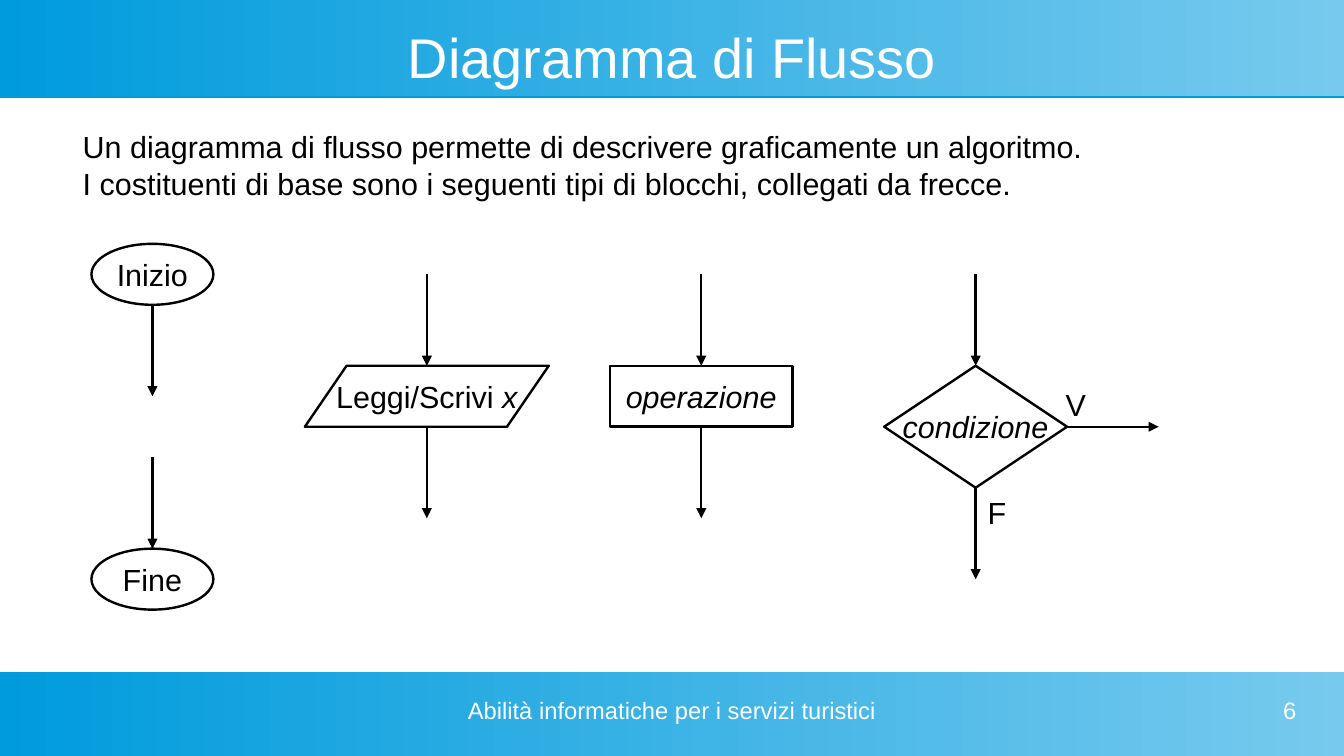
import pptx
import pptx.util
import pptx.dml.color
import pptx.enum.shapes
import pptx.enum.text
import pptx.oxml.ns
from lxml import etree

Inches = pptx.util.Inches
Pt = pptx.util.Pt
SHAPE = pptx.enum.shapes.MSO_SHAPE
ALIGN = pptx.enum.text.PP_ALIGN
ANCHOR = pptx.enum.text.MSO_ANCHOR
BLACK, WHITE, BLUE, PALE = "000000", "FFFFFF", "009BDD", "77CAEE"
WIDTH, HEIGHT = 11.02, 6.2
LINE_PT = 1.42


def rgb(value):
    """Return the colour of a hex string."""
    return pptx.dml.color.RGBColor.from_string(value)


def write(sp, *runs, size=18, color=BLACK, align=ALIGN.LEFT, anchor=ANCHOR.TOP,
          wrap=True, inset=(0.1, 0.05)):
    """Fill a shape with one paragraph of (text, italic) runs."""
    tf = sp.text_frame
    tf.word_wrap = wrap
    tf.vertical_anchor = anchor
    tf.margin_left = tf.margin_right = Inches(inset[0])
    tf.margin_top = tf.margin_bottom = Inches(inset[1])
    p = tf.paragraphs[0]
    p.alignment = align
    for text, italic in runs:
        r = p.add_run()
        r.text = text
        r.font.name = "Arial"
        r.font.size = Pt(size)
        r.font.italic = italic
        r.font.color.rgb = rgb(color)


def add_text(s, text, x, y, w, h, **fmt):
    """Add a text box holding plain text."""
    box = s.shapes.add_textbox(Inches(x), Inches(y), Inches(w), Inches(h))
    write(box, (text, False), **fmt)


def add_band(s, y, h):
    """Add a full-width band with a left-to-right gradient."""
    sp = s.shapes.add_shape(SHAPE.RECTANGLE, 0, Inches(y), Inches(WIDTH), Inches(h))
    sp.shadow.inherit = False
    sp.line.fill.background()
    sp.fill.gradient()
    sp.fill.gradient_angle = 0
    for stop, color in zip(sp.fill.gradient_stops, (BLUE, PALE)):
        stop.color.rgb = rgb(color)


def add_block(s, kind, cx, y, w, h, *runs):
    """Add an outlined flowchart block centred on cx."""
    sp = s.shapes.add_shape(kind, Inches(cx - w / 2), Inches(y), Inches(w), Inches(h))
    sp.shadow.inherit = False
    sp.fill.background()
    sp.line.color.rgb = rgb(BLACK)
    sp.line.width = Pt(LINE_PT)
    write(sp, *runs, align=ALIGN.CENTER, anchor=ANCHOR.MIDDLE, wrap=False)
    return sp


def add_line(s, x1, y1, x2, y2, color=BLACK, width=LINE_PT, arrow=False):
    """Add a straight line, with an arrowhead at its end if asked."""
    line = s.shapes.add_connector(pptx.enum.shapes.MSO_CONNECTOR.STRAIGHT,
                                  Inches(x1), Inches(y1), Inches(x2), Inches(y2))
    line.line.color.rgb = rgb(color)
    line.line.width = Pt(width)
    qn = pptx.oxml.ns.qn
    sp_pr = line._element.spPr
    if arrow:
        etree.SubElement(sp_pr.find(qn("a:ln")), qn("a:tailEnd"), type="triangle")
    etree.SubElement(sp_pr, qn("a:effectLst"))


def add_arrow_down(s, x, y):
    """Add a downward arrow of the common length."""
    add_line(s, x, y, x, y + 0.75, arrow=True)


def main():
    """Build the slide and save it."""
    prs = pptx.Presentation()
    prs.slide_width, prs.slide_height = Inches(WIDTH), Inches(HEIGHT)
    s = prs.slides.add_slide(prs.slide_layouts[5])
    title = s.shapes.title

    add_line(s, 0, 0.79, WIDTH, 0.79, color=BLUE, width=1.8)
    add_band(s, 0, 0.79)
    add_band(s, 5.51, 0.69)
    s.shapes._spTree.append(title._element)
    title.left, title.top = Inches(0.39), Inches(0.2)
    title.width, title.height = Inches(10.24), Inches(0.52)
    write(title, ("Diagramma di Flusso", False), size=33, color=WHITE,
          align=ALIGN.CENTER, anchor=ANCHOR.MIDDLE, inset=(0, 0))
    add_text(s, "Un diagramma di flusso permette di descrivere graficamente un algoritmo. "
             "I costituenti di base sono i seguenti tipi di blocchi, collegati da frecce.",
             0.58, 1, 8.42, 0.75)

    ends_x, io_x, step_x, test_x = [1.25 + 2.25 * i for i in range(4)]
    for label, y, arrow_y in (("Inizio", 2, 2.5), ("Fine", 4.5, 3.75)):
        add_block(s, SHAPE.OVAL, ends_x, y, 1, 0.5, (label, False))
        add_arrow_down(s, ends_x, arrow_y)

    io_block = add_block(s, SHAPE.PARALLELOGRAM, io_x, 3, 2, 0.5,
                         ("Leggi/Scrivi ", False), ("x", True))
    io_block.adjustments[0] = 0.685
    add_block(s, SHAPE.RECTANGLE, step_x, 3, 1.5, 0.5, ("operazione", True))
    add_block(s, SHAPE.DIAMOND, test_x, 3, 1.5, 1, ("condizione", True))
    for x, bottom in ((io_x, 3.5), (step_x, 3.5), (test_x, 4)):
        add_arrow_down(s, x, 2.25)
        add_arrow_down(s, x, bottom)
    add_line(s, 8.75, 3.5, 9.5, 3.5, arrow=True)
    for label, x, y in (("V", 8.64, 3.12), ("F", 8, 4)):
        add_text(s, label, x, y, 0.36, 0.38, wrap=False)

    footer = {"size": 14, "color": WHITE, "inset": (0, 0)}
    add_text(s, "Abilità informatiche per i servizi turistici", 3.74, 5.71, 3.54, 0.39,
             align=ALIGN.CENTER, **footer)
    add_text(s, "6", 8.07, 5.71, 2.56, 0.39, align=ALIGN.RIGHT, **footer)
    prs.save("out.pptx")


if __name__ == "__main__":
    main()
